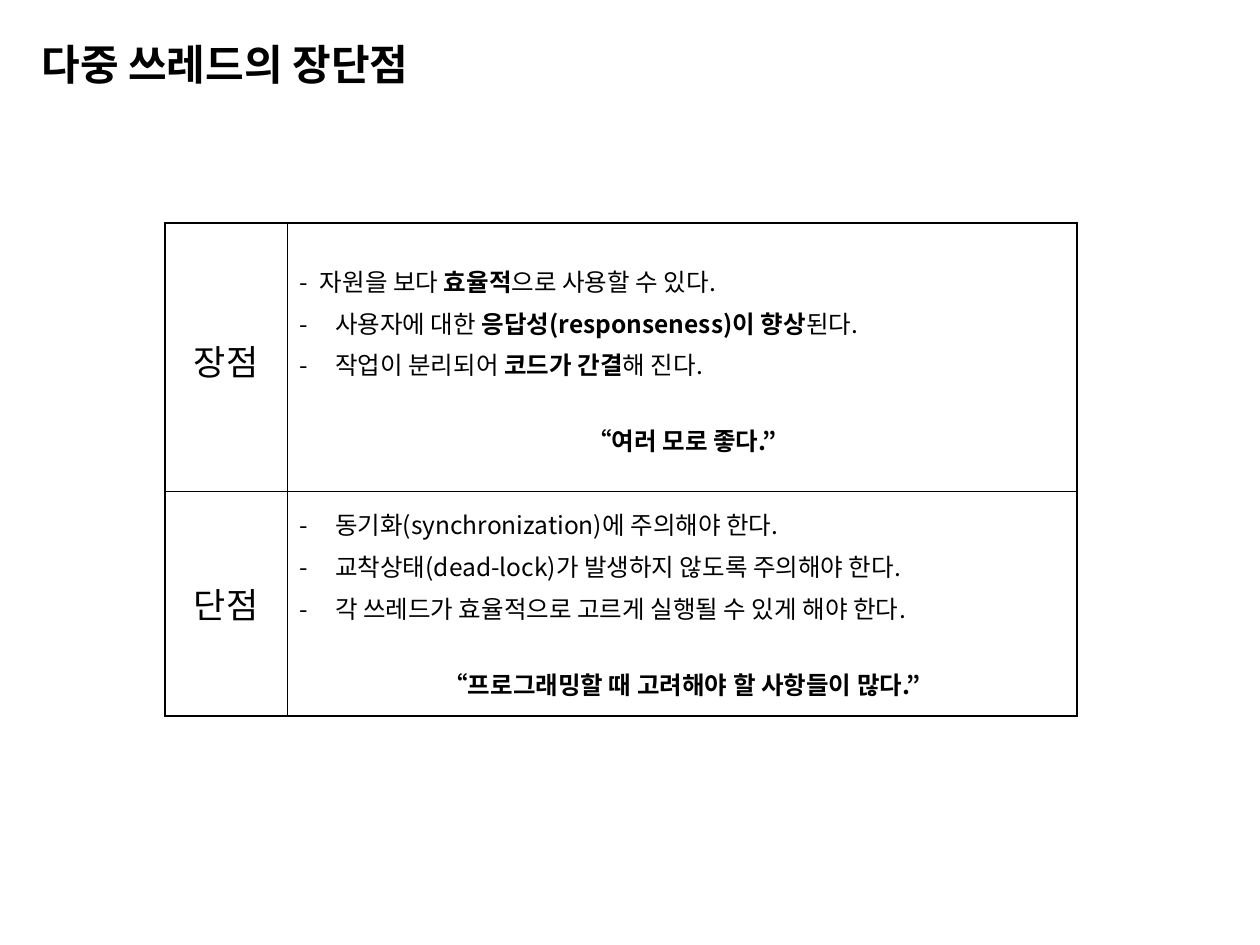
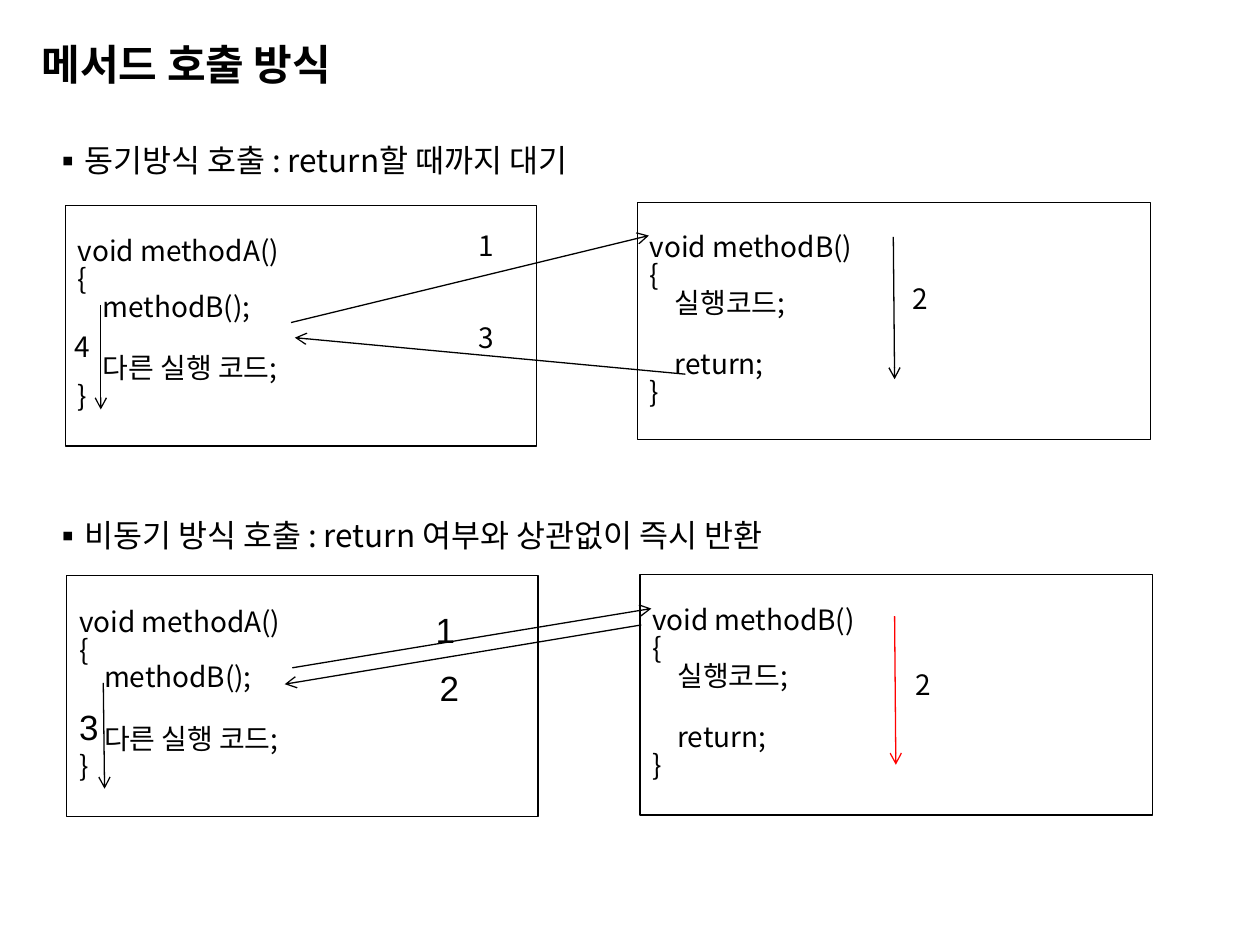
from dataclasses import dataclass
from typing import NamedTuple

from lxml import etree
from pptx import Presentation
from pptx.dml.color import RGBColor
from pptx.enum.shapes import MSO_CONNECTOR, MSO_SHAPE
from pptx.enum.text import MSO_ANCHOR, PP_ALIGN
from pptx.oxml.ns import qn
from pptx.util import Emu, Pt

LEFT, CENTER = PP_ALIGN.LEFT, PP_ALIGN.CENTER
TOP, MIDDLE = MSO_ANCHOR.TOP, MSO_ANCHOR.MIDDLE
RECTANGLE, STRAIGHT = MSO_SHAPE.RECTANGLE, MSO_CONNECTOR.STRAIGHT

# Shared style: 100 px to the inch
EMU_PER_PX = 9144
BLACK, WHITE, RED = "000000", "FFFFFF", "FF0000"
KOREAN, ARIAL = "Noto Sans CJK KR", "Arial"
TIGHT = 0.83
PAD_X, PAD_Y = 10, 5
OUTER_BORDER, INNER_BORDER = 1.08, 0.45


class Span(NamedTuple):
    text: str
    bold: bool = False


class Line(NamedTuple):
    spans: list[Span]
    hang: int = 0
    gap: float = 3.5
    align: PP_ALIGN = LEFT


class Box(NamedTuple):
    left: int
    top: int
    width: int
    height: int


class Arrow(NamedTuple):
    start: tuple[int, int]
    end: tuple[int, int]
    color: str = BLACK


class Label(NamedTuple):
    text: str
    left: int
    top: int
    font: str = KOREAN
    size: int = 16
    spacing: float = TIGHT


@dataclass
class CallScheme:
    heading: str
    heading_top: int
    caller: Box
    callee: Box
    arrows: list[Arrow]
    labels: list[Label]


def px(length: int) -> Emu:
    return Emu(length * EMU_PER_PX)


def rgb(color: str) -> RGBColor:
    return RGBColor.from_string(color)


def add_bullet(para, char: str, hang: int) -> None:
    properties = para._p.get_or_add_pPr()
    properties.set("marL", str(px(hang)))
    properties.set("indent", str(-px(hang)))
    etree.SubElement(properties, qn("a:buFont")).set("typeface", KOREAN)
    etree.SubElement(properties, qn("a:buChar")).set("char", char)


def write_para(frame, text, *, first=True, size=16, bold=False, font=KOREAN,
               align=LEFT, spacing=1.0, before=0, bullet="", hang=0) -> None:
    """Write a string or a list of spans as one paragraph."""
    para = frame.paragraphs[0] if first else frame.add_paragraph()
    if bullet:
        add_bullet(para, bullet, hang)
    para.alignment = align
    para.line_spacing = spacing
    para.space_before = Pt(0 if first else before)
    spans = [Span(text, bold)] if isinstance(text, str) else text
    for span in spans:
        run = para.add_run()
        run.text = span.text
        run.font.size = Pt(size)
        run.font.bold = span.bold
        run.font.color.rgb = rgb(BLACK)
        run.font.name = font
        east_asian = etree.SubElement(run._r.get_or_add_rPr(), qn("a:ea"))
        east_asian.set("typeface", font)


def set_margins(target, pad_x: int = PAD_X, pad_top: int = PAD_Y) -> None:
    target.margin_left = target.margin_right = px(pad_x)
    target.margin_top, target.margin_bottom = px(pad_top), px(PAD_Y)


def add_text(page, box: Box, text: str, pad_x: int = PAD_X, **text_format) -> None:
    frame = page.shapes.add_textbox(*map(px, box)).text_frame
    frame.word_wrap = True
    frame.vertical_anchor = TOP
    set_margins(frame, pad_x)
    write_para(frame, text, **text_format)


def add_page(deck, title: str):
    page = deck.slides.add_slide(deck.slide_layouts[6])
    add_text(page, Box(33, 33, 932, 49), title, pad_x=0, size=24, bold=True,
             spacing=0.8)
    return page


# Table of advantages and drawbacks
def set_border(cell, side: str, width: float) -> None:
    line = etree.SubElement(cell._tc.get_or_add_tcPr(), qn(f"a:ln{side}"))
    line.set("w", str(Pt(width)))
    fill = etree.SubElement(line, qn("a:solidFill"))
    etree.SubElement(fill, qn("a:srgbClr")).set("val", BLACK)


def add_pros_and_cons(page, rows: list[tuple[str, list[Line]]]) -> None:
    table = page.shapes.add_table(2, 2, *map(px, Box(131, 177, 724, 391))).table
    table.first_row = table.horz_banding = False
    for column, width in zip(table.columns, (97, 627)):
        column.width = px(width)
    for row, height in zip(table.rows, (213, 178)):
        row.height = px(height)

    for row_index, (name, lines) in enumerate(rows):
        for column_index in range(2):
            cell = table.cell(row_index, column_index)
            outer_sides = ("L" if column_index == 0 else "R",
                           "T" if row_index == 0 else "B")
            for side in "LRTB":
                set_border(cell, side,
                           OUTER_BORDER if side in outer_sides else INNER_BORDER)
            cell.fill.solid()
            cell.fill.fore_color.rgb = rgb(WHITE)
            cell.vertical_anchor = MIDDLE
            set_margins(cell, pad_top=PAD_Y * (2 - row_index))
        write_para(table.cell(row_index, 0).text_frame, name, size=20, align=CENTER)
        frame = table.cell(row_index, 1).text_frame
        for index, line in enumerate(lines):
            write_para(frame, line.spans, first=index == 0, size=14,
                       align=line.align, before=line.gap,
                       bullet="-" if line.hang else "", hang=line.hang)


def quote(text: str) -> Line:
    return Line([Span(text, True)], gap=23, align=CENTER)


# Call diagrams
def add_code(page, box: Box, blocks: list[list[str]]) -> None:
    """Draw a framed listing whose blocks stand one line apart."""
    shape = page.shapes.add_shape(RECTANGLE, *map(px, box))
    shape.shadow.inherit = False
    shape.fill.solid()
    shape.fill.fore_color.rgb = rgb(WHITE)
    shape.line.color.rgb = rgb(BLACK)
    shape.line.width = Pt(0.75)
    frame = shape.text_frame
    frame.word_wrap = True
    frame.vertical_anchor = MIDDLE
    set_margins(frame)
    for block_index, block in enumerate(blocks):
        for line_index, code in enumerate(block):
            write_para(frame, code, first=block_index + line_index == 0,
                       spacing=TIGHT, before=0 if line_index else 19)


def add_arrow(page, arrow: Arrow) -> None:
    connector = page.shapes.add_connector(
        STRAIGHT, *map(px, arrow.start), *map(px, arrow.end))
    connector.line.color.rgb = rgb(arrow.color)
    connector.line.width = Pt(0.75)
    head = etree.SubElement(connector.line._get_or_add_ln(), qn("a:tailEnd"))
    head.set("type", "arrow")
    etree.SubElement(connector._element.spPr, qn("a:effectLst"))


def add_call_scheme(page, scheme: CallScheme) -> None:
    add_text(page, Box(32, scheme.heading_top, 932, 45), scheme.heading, size=18,
             spacing=TIGHT, bullet="▪", hang=20)
    add_code(page, scheme.caller, CALLER_CODE)
    add_code(page, scheme.callee, CALLEE_CODE)
    for arrow in scheme.arrows:
        add_arrow(page, arrow)
    for label in scheme.labels:
        add_text(page, Box(label.left, label.top, 40, 40), label.text,
                 font=label.font, size=label.size, spacing=label.spacing)


def arial_label(text: str, left: int, top: int) -> Label:
    return Label(text, left, top, ARIAL, 20, 1.0)


# Content
PROS_AND_CONS = [
    ("장점", [
        Line([Span("자원을 보다 "), Span("효율적", True),
              Span("으로 사용할 수 있다.")], hang=16),
        Line([Span("사용자에 대한 "), Span("응답성(responseness)이 향상", True),
              Span("된다.")], hang=28),
        Line([Span("작업이 분리되어 "), Span("코드가 간결", True),
              Span("해 진다.")], hang=28),
        quote("“여러 모로 좋다.”"),
    ]),
    ("단점", [
        Line([Span("동기화(synchronization)에 주의해야 한다.")], hang=28),
        Line([Span("교착상태(dead-lock)가 발생하지 않도록 주의해야 한다.")], hang=28),
        Line([Span("각 쓰레드가 효율적으로 고르게 실행될 수 있게 해야 한다.")], hang=28),
        quote("“프로그래밍할 때 고려해야 할 사항들이 많다.”"),
    ]),
]

CALLER_CODE = [["void methodA()", "{", "    methodB();"],
               ["    다른 실행 코드;", "}"]]
CALLEE_CODE = [["void methodB()", "{", "    실행코드;"],
               ["    return;", "}"]]

CALL_SCHEMES = [
    CallScheme(
        "동기방식 호출 : return할 때까지 대기", 112,
        Box(52, 163, 374, 191), Box(506, 161, 407, 188),
        [Arrow((231, 256), (515, 187)), Arrow((709, 188), (710, 301)),
         Arrow((544, 297), (234, 268)), Arrow((80, 242), (80, 325))],
        [Label("1", 370, 181), Label("2", 714, 223),
         Label("3", 370, 254), Label("4", 49, 261)],
    ),
    CallScheme(
        "비동기 방식 호출 : return 여부와 상관없이 즉시 반환", 410,
        Box(53, 457, 374, 191), Box(508, 456, 407, 191),
        [Arrow((232, 530), (517, 483)), Arrow((509, 496), (226, 543)),
         Arrow((710, 489), (711, 607), RED), Arrow((82, 542), (83, 626))],
        [arial_label("1", 336, 478), arial_label("2", 339, 524),
         Label("2", 717, 529), arial_label("3", 53, 555)],
    ),
]


def main() -> None:
    deck = Presentation()
    deck.slide_width, deck.slide_height = px(1000), px(750)

    add_pros_and_cons(add_page(deck, "다중 쓰레드의 장단점"), PROS_AND_CONS)

    calls_page = add_page(deck, "메서드 호출 방식")
    for scheme in CALL_SCHEMES:
        add_call_scheme(calls_page, scheme)

    deck.save("out.pptx")


if __name__ == "__main__":
    main()
